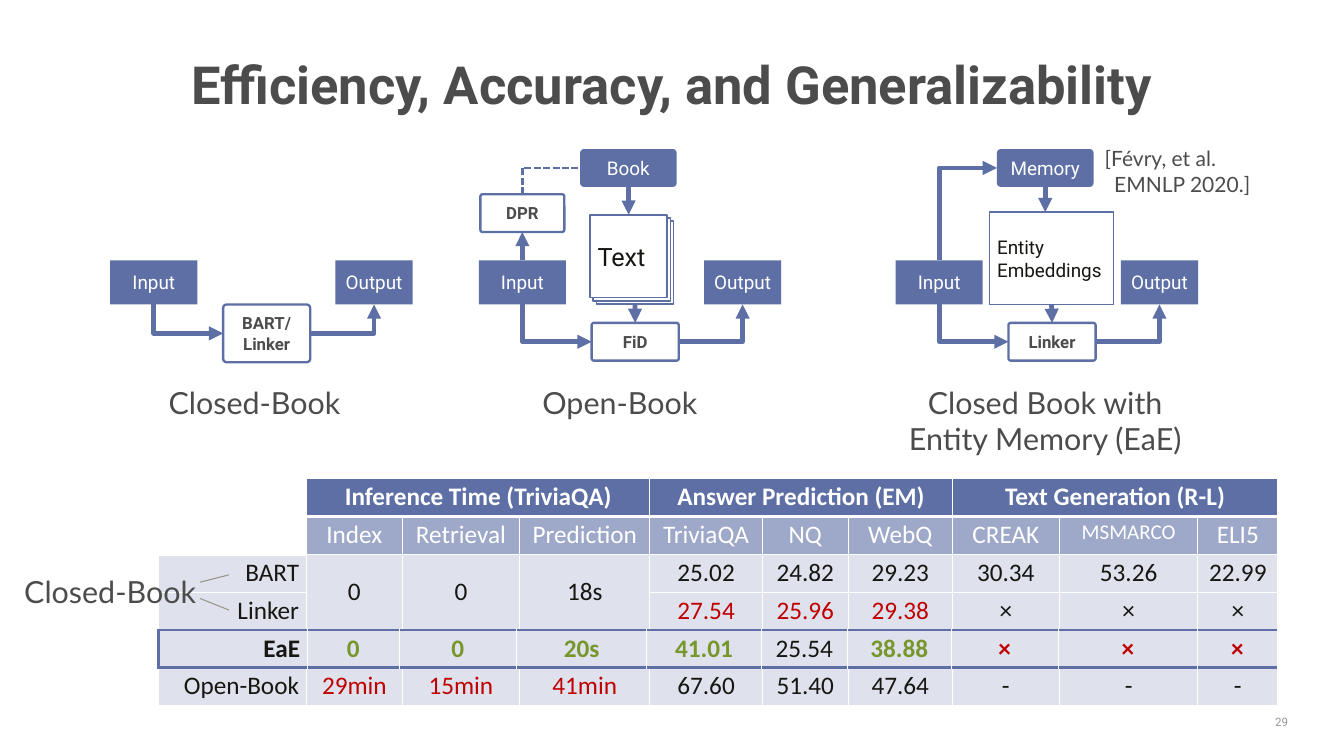
from lxml import etree
from pptx import Presentation
from pptx.dml.color import RGBColor
from pptx.enum.dml import MSO_LINE
from pptx.enum.shapes import MSO_CONNECTOR, MSO_SHAPE
from pptx.enum.text import MSO_ANCHOR, PP_ALIGN
from pptx.oxml.ns import qn
from pptx.util import Pt

RECT, ROUND = MSO_SHAPE.RECTANGLE, MSO_SHAPE.ROUNDED_RECTANGLE
STRAIGHT, ELBOW = MSO_CONNECTOR.STRAIGHT, MSO_CONNECTOR.ELBOW
LEFT, CENTER, RIGHT = PP_ALIGN.LEFT, PP_ALIGN.CENTER, PP_ALIGN.RIGHT
TOP, MIDDLE = MSO_ANCHOR.TOP, MSO_ANCHOR.MIDDLE
DASH = MSO_LINE.SQUARE_DOT

C = {"blue": "5D6FA5", "mid": "9EA9C9", "pale": "DFE2ED", "white": "FFFFFF",
     "gray": "4C4C4C", "ink": "171613", "red": "C00000", "green": "77972C",
     "leader": "98938A", "number": "969696"}
CODES = {"w": "white", "k": "ink", "r": "red", "g": "green"}

# Cell text, and per cell a colour code (upper case means bold)
RESULTS = [
    ("", "Inference Time (TriviaQA)", "", "", "Answer Prediction (EM)", "", "",
     "Text Generation (R-L)", "", ""),
    ("", "Index", "Retrieval", "Prediction", "TriviaQA", "NQ", "WebQ",
     "CREAK", "MSMARCO", "ELI5"),
    ("BART", "0", "0", "18s", "25.02", "24.82", "29.23", "30.34", "53.26", "22.99"),
    ("Linker", "", "", "", "27.54", "25.96", "29.38", "×", "×", "×"),
    ("",) * 10,
    ("Open-Book", "29min", "15min", "41min", "67.60", "51.40", "47.64", "-", "-", "-"),
]
RESULT_CODES = ["W" * 10, "w" * 10, "k" * 10, "kkkkrrrkkk", "k" * 10, "krrrkkkkkk"]
RESULT_FILLS = ["blue", "mid", "pale", "pale", "white", "pale"]
RESULT_COLS = [141, 91, 112, 124, 107, 82, 99, 102, 132, 76]
EAE = [("EaE", "0", "0", "20s", "41.01", "25.54", "38.88", "×", "×", "×")]
EAE_COLS = [142, 87, 112, 124, 109, 82, 99, 102, 132.5, 76]


def rgb(name):
    return RGBColor.from_string(C[name])


def write(sp, text, size, font, color, bold=False, align=CENTER, anchor=MIDDLE):
    tf = sp.text_frame
    tf.word_wrap = True
    tf.vertical_anchor = anchor
    tf.text = text
    for p in tf.paragraphs:
        p.alignment = align
        for r in p.runs:
            r.font.size, r.font.name, r.font.bold = Pt(size), font, bold
            r.font.color.rgb = rgb(color)
    return tf


def label(s, x, y, w, h, text, size=29, font="Lato", color="gray", align=CENTER, anchor=TOP):
    sp = s.shapes.add_textbox(Pt(x), Pt(y), Pt(w), Pt(h))
    return write(sp, text, size, font, color, False, align, anchor)


def box(s, kind, x, y, w, h, fill=None, line=None, width=1.5, adj=None):
    sp = s.shapes.add_shape(kind, Pt(x), Pt(y), Pt(w), Pt(h))
    sp.shadow.inherit = False
    if fill:
        sp.fill.solid()
        sp.fill.fore_color.rgb = rgb(fill)
    else:
        sp.fill.background()
    if line:
        sp.line.color.rgb = rgb(line)
        sp.line.width = Pt(width)
    else:
        sp.line.fill.background()
    if adj:
        sp.adjustments[0] = adj
    return sp


def solid_box(s, x, y, w, h, text, kind=RECT):
    sp = box(s, kind, x, y, w, h, "blue", adj=0.1 if kind == ROUND else None)
    write(sp, text, 18, "Roboto", "white")
    return sp


def model_box(s, x, y, w, h, text):
    sp = box(s, ROUND, x, y, w, h, line="blue", width=2.25, adj=0.061)
    write(sp, text, 16, "Roboto", "gray", True)
    return sp


def side(sp, i):
    """Middle of a side: 0 top, 1 left, 2 bottom, 3 right."""
    fx, fy = [(0.5, 0), (0, 0.5), (0.5, 1), (1, 0.5)][i]
    return int(sp.left + fx * sp.width), int(sp.top + fy * sp.height)


def style_line(c, color="blue", width=4.5, arrow=True):
    c.line.color.rgb = rgb(color)
    c.line.width = Pt(width)
    if arrow:
        etree.SubElement(c.line._get_or_add_ln(), qn("a:tailEnd"), type="triangle")
    etree.SubElement(c.element.spPr, qn("a:effectLst"))
    return c


def down_arrow(s, a, b, start=2, end=0, join_end=True):
    x, y = side(a, start)
    c = s.shapes.add_connector(STRAIGHT, x, y, x, side(b, end)[1])
    c.begin_connect(a, start)
    if join_end:
        c.end_connect(b, end)
    style_line(c)


def elbow(s, a, b, vertical_first=True, **look):
    """One-bend connector going right between two points."""
    (x1, y1), (x2, y2) = a, b
    if not vertical_first:
        c = s.shapes.add_connector(ELBOW, x1, y1, x2, y2)
    else:
        # The unturned frame has width and height swapped about the same centre
        cx, cy, half_w, half_h = (x1 + x2) // 2, (y1 + y2) // 2, (x2 - x1) // 2, abs(y2 - y1) // 2
        drop = half_w if y2 > y1 else -half_w
        c = s.shapes.add_connector(ELBOW, cx + half_h, cy - drop, cx - half_h, cy + drop)
        turn = 270 if y2 > y1 else 90
        c.element.spPr.find(qn("a:xfrm")).set("rot", str(turn * 60000))
    c.element.spPr.find(qn("a:prstGeom")).set("prst", "bentConnector2")
    return style_line(c, **look)


def flow(s, x, y, model, top=165.5, height=36):
    """Input, model and output row shared by the three diagrams."""
    source = solid_box(s, x, y + 106, 83, 42, "Input")
    output = solid_box(s, x + 214.5, y + 106, 73.5, 42, "Output")
    m = model_box(s, x + 107.5, y + top, 83, height, model)
    elbow(s, side(source, 2), side(m, 1))
    elbow(s, side(m, 3), side(output, 2), vertical_first=False)
    return source, m


def closed_book(s, x, y):
    flow(s, x, y, "BART/\nLinker", 148, 55)
    label(s, x + 21.5, y + 220, 232, 42.5, "Closed-Book")


def open_book(s, x, y):
    pages = [box(s, RECT, x + 112 - 3 * i, y + 68.5 - 3 * i, 73.5, 79, "white", "blue")
             for i in range(3)]
    write(pages[-1], "Text", 24, "Roboto", "ink", align=LEFT)
    source, fid = flow(s, x, y, "FiD")
    book = solid_box(s, x + 96.5, y, 92, 36, "Book", ROUND)
    dpr = model_box(s, x + 1.5, y + 43, 80, 36, "DPR")
    down_arrow(s, source, dpr, 0, 2)
    down_arrow(s, book, pages[-1])
    down_arrow(s, pages[0], fid)
    c = elbow(s, side(dpr, 0), side(book, 1), width=2.25, arrow=False)
    c.line.dash_style = DASH
    label(s, x + 42, y + 220, 185, 42.5, "Open-Book")


def entity_memory(s, x, y):
    source, linker = flow(s, x, y, "Linker")
    memory = solid_box(s, x + 96.5, y, 92, 36, "Memory", ROUND)
    entity = box(s, RECT, x + 89.5, y + 60, 118, 88, "white", "blue")
    write(entity, "Entity\nEmbeddings", 18, "Roboto", "ink", align=LEFT)
    down_arrow(s, memory, entity, join_end=False)
    down_arrow(s, entity, linker)
    elbow(s, side(source, 0), side(memory, 1))
    label(s, x - 17, y + 220, 319, 78, "Closed Book with Entity Memory (EaE)")
    tf = label(s, x + 192, y - 6.5, 157, 55.5, "[Févry, et al.\nEMNLP 2020.]", 20, align=LEFT)
    tf.paragraphs[1]._p.get_or_add_pPr().set("marL", str(Pt(9)))


def border(cell, edge, color, width):
    ln = etree.SubElement(cell._tc.get_or_add_tcPr(), qn("a:ln" + edge), w=str(Pt(width)))
    fill = etree.SubElement(ln, qn("a:solidFill"))
    etree.SubElement(fill, qn("a:srgbClr"), val=C[color])


def table(s, x, y, rows, cols, codes, fills, edges):
    """edges(row, col) gives the borders that are not thin white."""
    height = 36
    t = s.shapes.add_table(len(rows), len(cols), Pt(x), Pt(y), Pt(sum(cols)),
                           Pt(height * len(rows))).table
    t.first_row = t.horz_banding = False
    for col, w in zip(t.columns, cols):
        col.width = Pt(w)
    for i, row in enumerate(rows):
        t.rows[i].height = Pt(height)
        for j, text in enumerate(row):
            cell = t.cell(i, j)
            cell.margin_top = cell.margin_bottom = Pt(3)
            special = edges(i, j)
            for edge in "LRTB":
                border(cell, edge, *special.get(edge, ("white", 1)))
            cell.fill.solid()
            cell.fill.fore_color.rgb = rgb(fills[i])
            if text:
                code = codes[i][j]
                write(cell, text, 20 if text == "MSMARCO" else 24, "Calibri",
                      CODES[code.lower()], code.isupper(), CENTER if j else RIGHT, TOP)
    return t


def results(s, x, y):
    t = table(s, x, y, RESULTS, RESULT_COLS, RESULT_CODES, RESULT_FILLS,
              lambda i, j: {"B": ("white", 3)} if i == 0 else {})
    t.cell(0, 0).merge(t.cell(1, 0))
    t.cell(0, 0).fill.background()
    for j in (1, 4, 7):
        t.cell(0, j).merge(t.cell(0, j + 2))
    for j in (1, 2, 3):
        t.cell(2, j).merge(t.cell(3, j))
        t.cell(2, j).vertical_anchor = MIDDLE
    # Outlined EaE row, laid over the blank fifth row
    rule = ("blue", 3)
    table(s, x, y + 144, EAE, EAE_COLS, ["KGGGGkGRRR"], ["pale"],
          lambda i, j: {"T": rule, "B": rule, **({} if j else {"L": rule})})
    # Group label with leaders to the two closed-book rows
    label(s, x - 162, y + 86, 232, 42.5, "Closed-Book")
    for y1, y2 in ((98.5, 91.5), (114, 125)):
        c = s.shapes.add_connector(STRAIGHT, Pt(x + 39.5), Pt(y + y1), Pt(x + 67), Pt(y + y2))
        style_line(c, "leader", 1, False)


def heading(s, x, y, w, h):
    sp = s.shapes.title
    sp.left, sp.top, sp.width, sp.height = Pt(x), Pt(y), Pt(w), Pt(h)
    tf = write(sp, "Efficiency, Accuracy, and Generalizability", 50, "Roboto", "gray", True)
    tf.paragraphs[0].line_spacing = 0.8


def main():
    prs = Presentation()
    prs.slide_width, prs.slide_height = Pt(1280), Pt(720)
    s = prs.slides.add_slide(prs.slide_layouts[5])
    heading(s, 64, 60.5, 1152, 49)
    closed_book(s, 105, 142)
    open_book(s, 456, 142)
    entity_memory(s, 853, 142)
    results(s, 151, 456)
    label(s, 1190, 678, 44, 19, "29", 11, "Roboto", "number", RIGHT, MIDDLE)
    prs.save("out.pptx")


if __name__ == "__main__":
    main()
